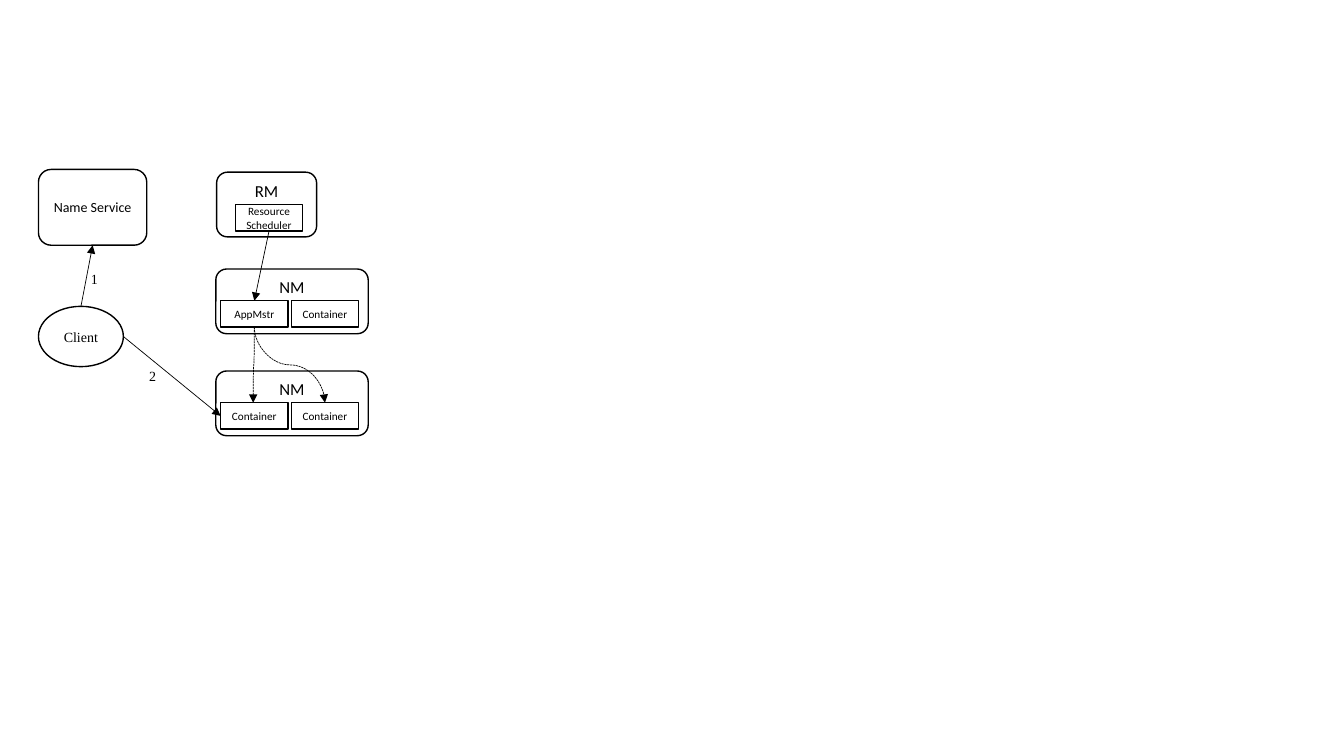
from dataclasses import dataclass

from lxml.etree import SubElement
from pptx import Presentation
from pptx.dml.color import RGBColor
from pptx.enum.dml import MSO_LINE
from pptx.enum.shapes import MSO_CONNECTOR, MSO_SHAPE
from pptx.enum.text import MSO_ANCHOR, PP_ALIGN
from pptx.oxml.ns import qn
from pptx.shapes.autoshape import Shape
from pptx.shapes.connector import Connector
from pptx.shapes.shapetree import GroupShapes
from pptx.text.text import TextFrame
from pptx.util import Cm, Pt


@dataclass(frozen=True)
class Theme:
    ink: RGBColor = RGBColor(0, 0, 0)
    paper: RGBColor = RGBColor(255, 255, 255)
    sans: str = "Calibri"
    serif: str = "Times New Roman"
    manager_size: float = 12
    body_size: float = 10
    slot_size: float = 8
    outline: float = 1
    arrow: float = 0.5


THEME = Theme()
TOP, LEFT, BOTTOM = 0, 1, 2


@dataclass(frozen=True)
class Node:
    text: str
    left: float
    top: float
    width: float
    height: float
    size: float = THEME.body_size
    font: str = THEME.sans
    outline: MSO_SHAPE = MSO_SHAPE.ROUNDED_RECTANGLE
    anchor: MSO_ANCHOR = MSO_ANCHOR.MIDDLE


def manager(text: str, left: float, top: float, width: float) -> Node:
    return Node(text, left, top, width, 1.63, THEME.manager_size, anchor=MSO_ANCHOR.TOP)


def slot(text: str, left: float, top: float) -> Node:
    return Node(text, left, top, 1.7, 0.66, THEME.slot_size, outline=MSO_SHAPE.RECTANGLE)


# Node managers, each with two slots
NM_LEFT, SLOT_PITCH, SLOT_DROP = 5.44, 1.78, 0.8
NM_ROWS = {6.78: ("AppMstr", "Container"), 9.35: ("Container", "Container")}

NODES: dict[str, Node] = {
    "rm": manager("RM", 5.46, 4.34, 2.52),
    "scheduler": slot("Resource Scheduler", 5.93, 5.16),
    "name_service": Node("Name Service", 0.97, 4.27, 2.73, 1.91),
    "client": Node("Client", 0.97, 7.72, 2.14, 1.52, font=THEME.serif,
                   outline=MSO_SHAPE.OVAL),
}
for row, (nm_top, slot_names) in enumerate(NM_ROWS.items()):
    NODES[f"nm{row}"] = manager("NM", NM_LEFT, nm_top, 3.84)
    for column, slot_name in enumerate(slot_names):
        NODES[f"slot{row}{column}"] = slot(
            slot_name, NM_LEFT + 0.12 + column * SLOT_PITCH, nm_top + SLOT_DROP)

STEP_LABELS = {"1": (2.04, 6.68), "2": (3.51, 9.14)}


def write_text(frame: TextFrame, text: str, size: float, font: str,
               alignment: PP_ALIGN) -> None:
    para = frame.paragraphs[0]
    para.alignment = alignment
    span = para.add_run()
    span.text = text
    for name, value in {"size": Pt(size), "name": font}.items():
        setattr(span.font, name, value)
    span.font.color.rgb = THEME.ink


def draw_node(shapes: GroupShapes, node: Node) -> Shape:
    box = shapes.add_shape(node.outline, Cm(node.left), Cm(node.top),
                           Cm(node.width), Cm(node.height))
    box.shadow.inherit = False
    box.fill.solid()
    box.fill.fore_color.rgb = THEME.paper
    box.line.color.rgb = THEME.ink
    box.line.width = Pt(THEME.outline)
    for name, value in {"word_wrap": True, "vertical_anchor": node.anchor}.items():
        setattr(box.text_frame, name, value)
    write_text(box.text_frame, node.text, node.size, node.font, PP_ALIGN.CENTER)
    return box


def draw_label(shapes: GroupShapes, text: str, left: float, top: float) -> None:
    box = shapes.add_textbox(Cm(left), Cm(top), Cm(0.76), Cm(0.68))
    box.text_frame.word_wrap = True
    write_text(box.text_frame, text, THEME.body_size, THEME.serif, PP_ALIGN.LEFT)


def style_arrow(arrow: Connector) -> None:
    arrow.line.color.rgb = THEME.ink
    arrow.line.width = Pt(THEME.arrow)
    SubElement(arrow.line._get_or_add_ln(), qn("a:tailEnd"), type="triangle")
    SubElement(arrow._element.spPr, qn("a:effectLst"))


def side_point(box: Shape, side: int) -> tuple[int, int]:
    if side == LEFT:
        return box.left, box.top + box.height // 2
    return box.left + box.width // 2, box.top + (box.height if side == BOTTOM else 0)


def draw_arrow(shapes: GroupShapes, start: tuple[int, int], target: Shape,
               side: int) -> Connector:
    arrow = shapes.add_connector(MSO_CONNECTOR.STRAIGHT, *start,
                                 *side_point(target, side))
    arrow.end_connect(target, side)
    style_arrow(arrow)
    return arrow


def draw_curve(shapes: GroupShapes, start: tuple[int, int], end: tuple[int, int]) -> None:
    """Draw a dashed S-curve that leaves and arrives vertically."""
    (x1, y1), (x2, y2) = start, end
    length, spread = y2 - y1, abs(x2 - x1)
    left, top = (x1 + x2 - length) // 2, (y1 + y2 - spread) // 2
    rightward = x2 > x1
    ends = (left + length, left) if rightward else (left, left + length)
    curve = shapes.add_connector(MSO_CONNECTOR.CURVE, ends[0], top, ends[1], top + spread)
    curve._element.spPr.xfrm.set("rot", str((270 if rightward else 90) * 60000))
    curve.line.dash_style = MSO_LINE.SQUARE_DOT
    style_arrow(curve)


def main() -> None:
    deck = Presentation()
    deck.slide_width, deck.slide_height = Cm(33.87), Cm(19.05)
    page = deck.slides.add_slide(deck.slide_layouts[6])
    shapes = page.shapes.add_group_shape().shapes

    # Services, managers, slots and step numbers
    boxes = {name: draw_node(shapes, node) for name, node in NODES.items()}
    for text, (left, top) in STEP_LABELS.items():
        draw_label(shapes, text, left, top)

    # Client requests
    client = boxes["client"]
    client_right = client.left + client.width, client.top + client.height // 2
    draw_arrow(shapes, side_point(client, TOP), boxes["name_service"], BOTTOM)
    draw_arrow(shapes, client_right, boxes["slot10"], LEFT)

    # Scheduler starts the application master
    scheduler, app_master = boxes["scheduler"], boxes["slot00"]
    launch = draw_arrow(shapes, side_point(scheduler, BOTTOM), app_master, TOP)
    launch.begin_connect(scheduler, BOTTOM)

    # Application master reaches both containers
    origin = side_point(app_master, BOTTOM)
    first_x, first_y = side_point(boxes["slot10"], TOP)
    draw_curve(shapes, origin, (first_x - Cm(0.03), first_y))
    draw_curve(shapes, origin, side_point(boxes["slot11"], TOP))

    deck.save("out.pptx")


if __name__ == "__main__":
    main()
